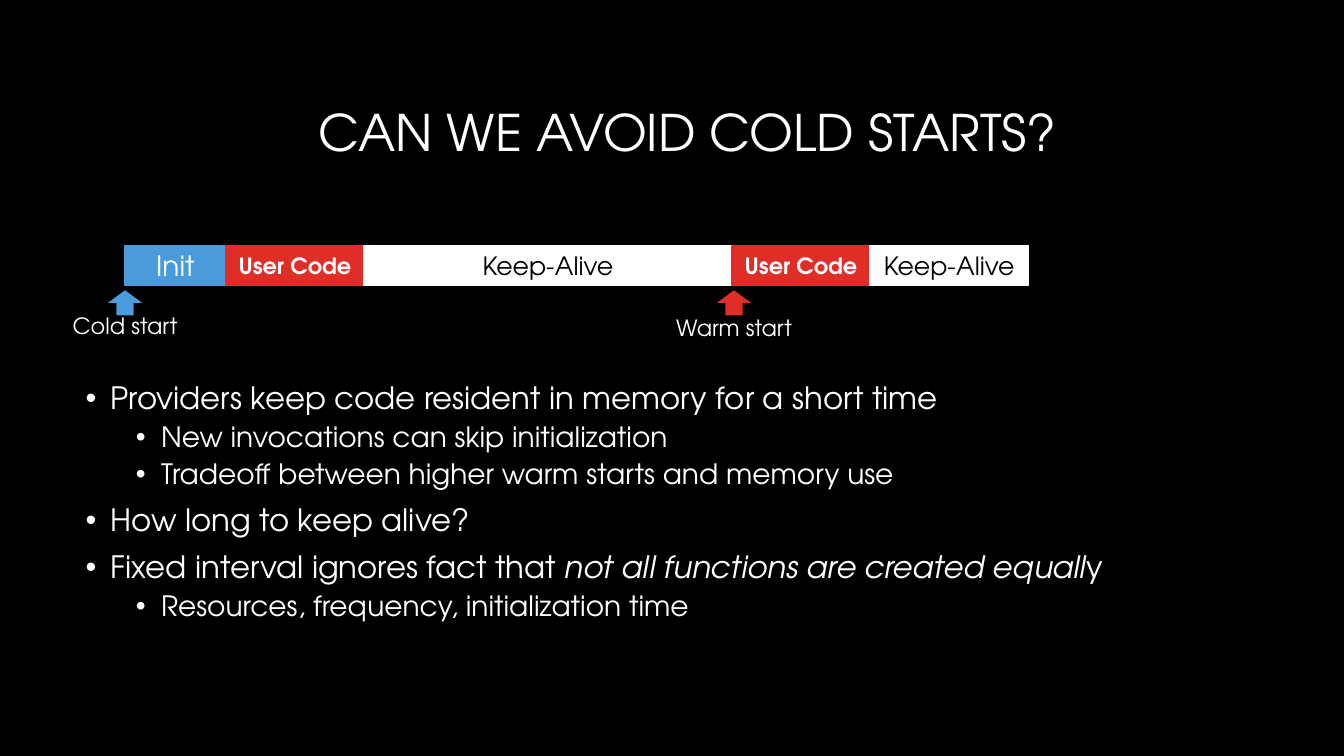
"""Build the slide about avoiding cold starts with keep-alive."""
from lxml.etree import SubElement
from pptx import Presentation
from pptx.dml.color import RGBColor
from pptx.enum.shapes import MSO_SHAPE as Shape
from pptx.enum.text import MSO_ANCHOR as Anchor, PP_ALIGN as Align
from pptx.oxml.ns import qn
from pptx.util import Inches, Pt

BLACK = RGBColor(0x00, 0x00, 0x00)
WHITE = RGBColor(0xFF, 0xFF, 0xFF)
BLUE = RGBColor(0x4A, 0x9B, 0xDC)
RED = RGBColor(0xDF, 0x2E, 0x28)

deck = Presentation()
deck.slide_width, deck.slide_height = Inches(13.33), Inches(7.5)
page = deck.slides.add_slide(deck.slide_layouts[6])
page.background.fill.solid()
page.background.fill.fore_color.rgb = BLACK


def add_span(para, text, size, color=WHITE, **formats):
    span = para.add_run()
    span.text = text
    span.font.color.rgb = color
    for name, value in {"name": "TeX Gyre Adventor", "size": Pt(size), **formats}.items():
        setattr(span.font, name, value)


def add_block(kind, left, top, width, height, color):
    block = page.shapes.add_shape(kind, *map(Inches, (left, top, width, height)))
    block.shadow.inherit = False
    block.fill.solid()
    block.fill.fore_color.rgb = color
    return block


title = page.shapes.add_textbox(Inches(2.76), Inches(0.64), Inches(7.82), Inches(1.41)).text_frame
title.word_wrap = True
title.vertical_anchor = Anchor.MIDDLE
heading = title.paragraphs[0]
heading.alignment, heading.line_spacing = Align.RIGHT, 0.9
add_span(heading, "CAN WE AVOID COLD STARTS?", 36)

bar_top, bar_height = 2.44, 0.39
user_code = ("User Code", 1.37, RED, WHITE, 16, True)
segments = [
    ("Init", 1, BLUE, WHITE, 20, False),
    user_code,
    ("Keep-Alive", 3.65, WHITE, BLACK, 18, False),
    user_code,
    ("Keep-Alive", 1.57, WHITE, BLACK, 18, False),
]
left = 1.24
for label, width, fill, ink, size, bold in segments:
    bar = add_block(Shape.RECTANGLE, left, bar_top, width, bar_height, fill)
    bar.line.color.rgb = fill
    bar.line.width = Pt(1)
    bar.text_frame.vertical_anchor = Anchor.MIDDLE
    para = bar.text_frame.paragraphs[0]
    para.alignment = Align.CENTER
    add_span(para, label, size, ink, bold=bold)
    left += width

label_width = 1.39
for label, center, label_top, color in [
    ("Cold start", 1.24, 3.05, BLUE),
    ("Warm start", 7.28, 3.07, RED),
]:
    arrow = add_block(Shape.UP_ARROW, center - 0.17, 2.88, 0.34, 0.25, color)
    arrow.line.fill.background()
    box = page.shapes.add_textbox(
        Inches(center - label_width / 2), Inches(label_top), Inches(label_width), Inches(0.37)
    )
    box.text_frame.word_wrap = True
    para = box.text_frame.paragraphs[0]
    para.alignment = Align.CENTER
    add_span(para, label, 16)

bullets = [
    (0, [("Providers keep code resident in memory for a short time", False)]),
    (1, [("New invocations can skip initialization", False)]),
    (1, [("Tradeoff between higher warm starts and memory use", False)]),
    (0, [("How long to keep alive?", False)]),
    (0, [
        ("Fixed interval ignores fact that ", False),
        ("not all functions are created equall", True),
        ("y", False),
    ]),
    (1, [("Resources, frequency, initialization time", False)]),
]
body = page.shapes.add_textbox(Inches(0.75), Inches(3.75), Inches(11.83), Inches(3.36)).text_frame
body.word_wrap = True
for index, (level, spans) in enumerate(bullets):
    para = body.add_paragraph() if index else body.paragraphs[0]
    para.level, para.line_spacing = level, 0.9
    para.space_before = Pt(5 if level else 10)
    for text, italic in spans:
        add_span(para, text, 20 if level else 22, italic=italic)
    properties = para._p.get_or_add_pPr()
    properties.set("marL", str(Inches(0.25 + 0.5 * level)))
    properties.set("indent", str(-Inches(0.25)))
    SubElement(properties, qn("a:buFont")).set("typeface", "Arial")
    SubElement(properties, qn("a:buChar")).set("char", "•")

deck.save("out.pptx")
